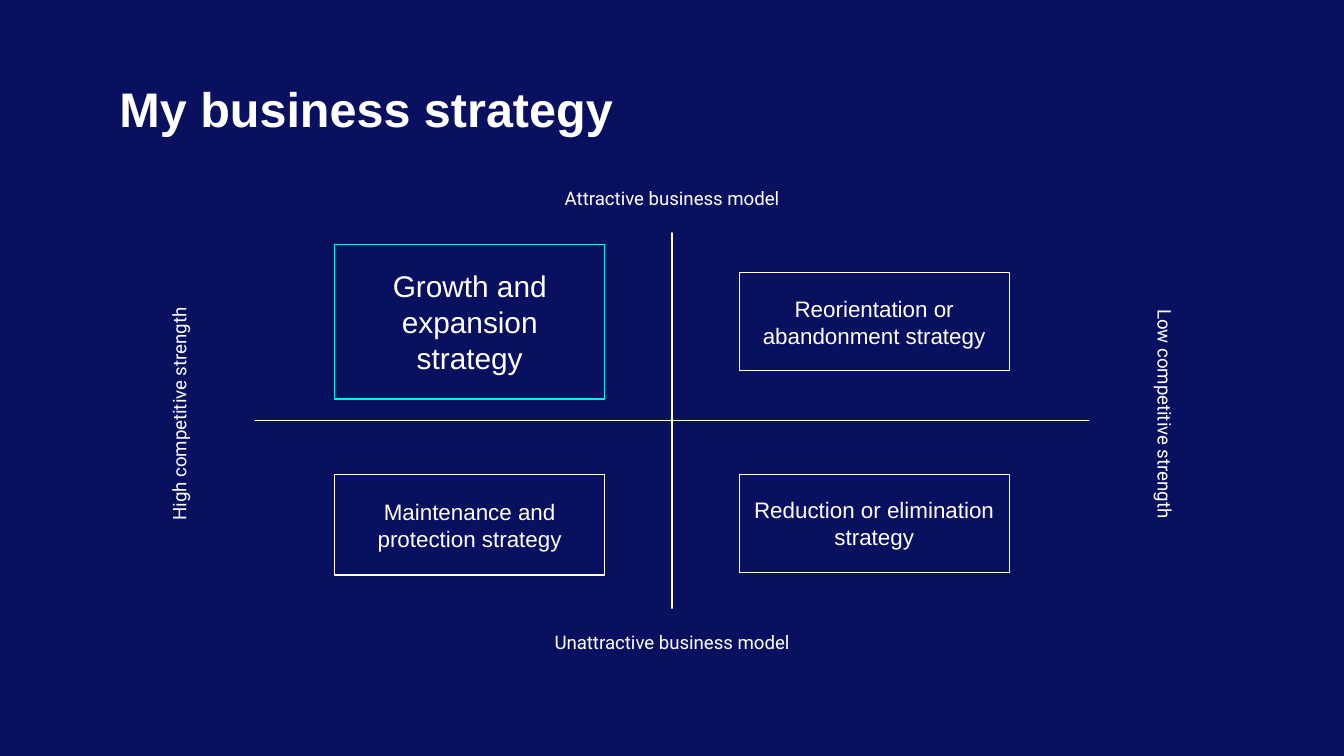
from pptx import Presentation
from pptx.dml.color import RGBColor
from pptx.enum.shapes import MSO_SHAPE
from pptx.enum.text import MSO_ANCHOR, PP_ALIGN
from pptx.util import Inches, Pt

COLORS = {"background": "091060", "white": "FFFFFF", "highlight": "0DEEE7"}
MARGIN = 0.1
LABEL_WIDTH, LABEL_HEIGHT = 2.37, 0.4
CELL_WIDTH = 2.01


def color(name):
    return RGBColor.from_string(COLORS[name])


def write_text(shape, text, size, font="Arial", bold=False,
               align=PP_ALIGN.CENTER, anchor=MSO_ANCHOR.TOP):
    frame = shape.text_frame
    margins = {f"margin_{side}": Inches(MARGIN)
               for side in ("left", "top", "right", "bottom")}
    frame_format = {"word_wrap": True, "vertical_anchor": anchor, **margins}
    for name, value in frame_format.items():
        setattr(frame, name, value)
    paragraph = frame.paragraphs[0]
    paragraph.alignment = align
    run = paragraph.add_run()
    run.text = text
    for name, value in {"name": font, "size": Pt(size), "bold": bold}.items():
        setattr(run.font, name, value)
    run.font.color.rgb = color("white")


def add_outline(slide, kind, left, top, width, height, line="white"):
    """Add an unfilled preset shape with a thin line."""
    shape = slide.shapes.add_shape(
        kind, Inches(left), Inches(top), Inches(width), Inches(height))
    shape.shadow.inherit = False
    shape.fill.background()
    shape.line.color.rgb = color(line)
    shape.line.width = Pt(0.75)
    return shape


def add_title(slide, left, top, width, height):
    title = slide.shapes.add_textbox(
        Inches(left), Inches(top), Inches(width), Inches(height))
    write_text(title, "My business strategy", 26, bold=True, align=PP_ALIGN.LEFT)


def add_axis_labels(slide, left, top, width, height):
    """Place one label at each end of the two axes."""
    center_left = left + (width - LABEL_WIDTH) / 2
    side_top = top + 1.65
    labels = [
        ("Attractive business model", center_left, top + 0.08, 0),
        ("Unattractive business model", center_left, top + height - 0.42, 0),
        ("High competitive strength", left - 0.6, side_top, 270),
        ("Low competitive strength", left + width - LABEL_WIDTH + 0.6, side_top, 90),
    ]
    for text, label_left, label_top, rotation in labels:
        label = slide.shapes.add_textbox(
            Inches(label_left), Inches(label_top),
            Inches(LABEL_WIDTH), Inches(LABEL_HEIGHT))
        label.rotation = rotation
        write_text(label, text, 10, font="Roboto")


def add_strategy_matrix(slide, left, top, width, height):
    """Draw the crossed axes, their labels and a strategy in each quadrant."""
    axes = add_outline(slide, MSO_SHAPE.MATH_PLUS, left, top, width, height)
    axes.adjustments[0] = 0
    add_axis_labels(slide, left, top, width, height)

    left_column = left + 1.71
    right_column = left + width - 1.71 - CELL_WIDTH
    strategies = [
        ("Growth and expansion strategy", left_column, 0.59, 1.15, 16, "highlight"),
        ("Maintenance and protection strategy", left_column, 2.3, 0.75, 12, "white"),
        ("Reduction or elimination strategy", right_column, 2.3, 0.73, 12, "white"),
        ("Reorientation or abandonment strategy", right_column, 0.8, 0.73, 12, "white"),
    ]
    for text, cell_left, offset, cell_height, size, line in strategies:
        cell = add_outline(slide, MSO_SHAPE.RECTANGLE, cell_left, top + offset,
                           CELL_WIDTH, cell_height, line)
        write_text(cell, text, size, anchor=MSO_ANCHOR.MIDDLE)


def main():
    presentation = Presentation()
    presentation.slide_width = Inches(10)
    presentation.slide_height = Inches(10 * 9 / 16)
    slide = presentation.slides.add_slide(presentation.slide_layouts[6])
    slide.background.fill.solid()
    slide.background.fill.fore_color.rgb = color("background")
    add_title(slide, 0.79, 0.49, 8.42, 0.63)
    add_strategy_matrix(slide, 0.78, 1.23, 8.44, 3.8)
    presentation.save("out.pptx")


if __name__ == "__main__":
    main()
